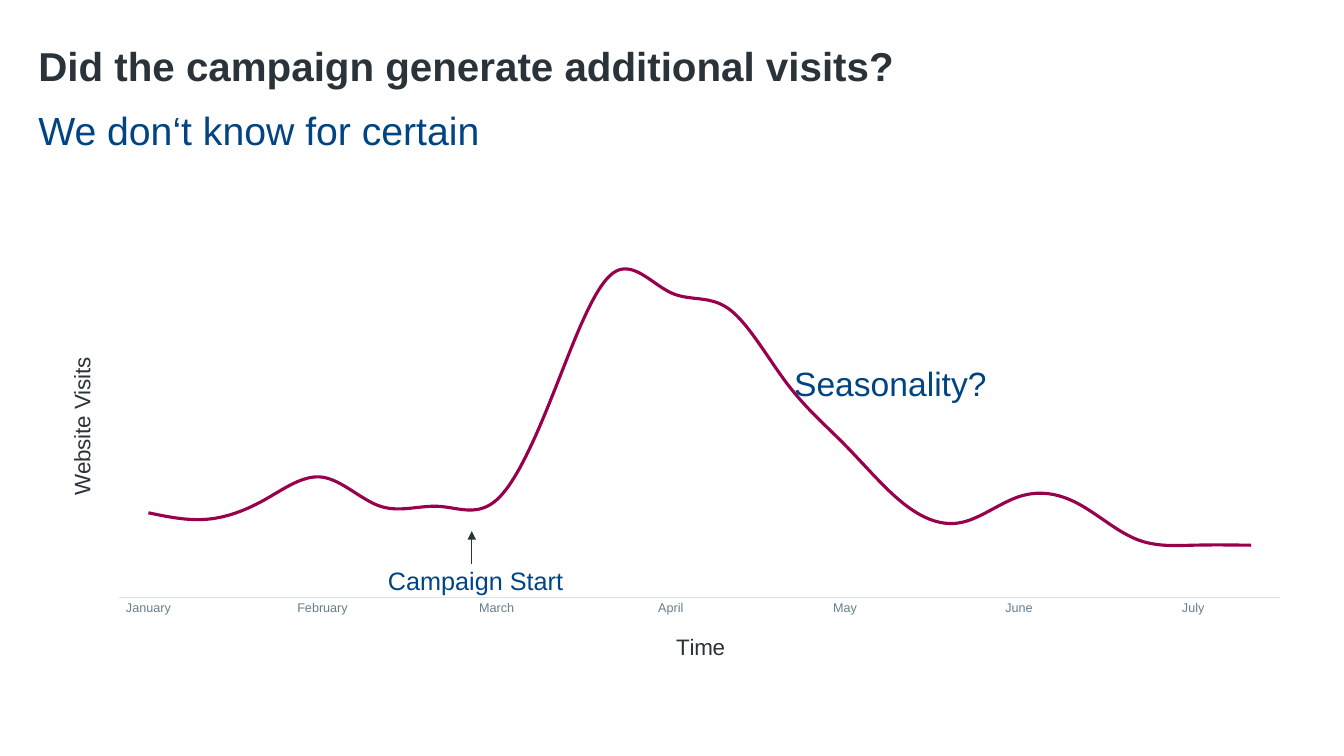
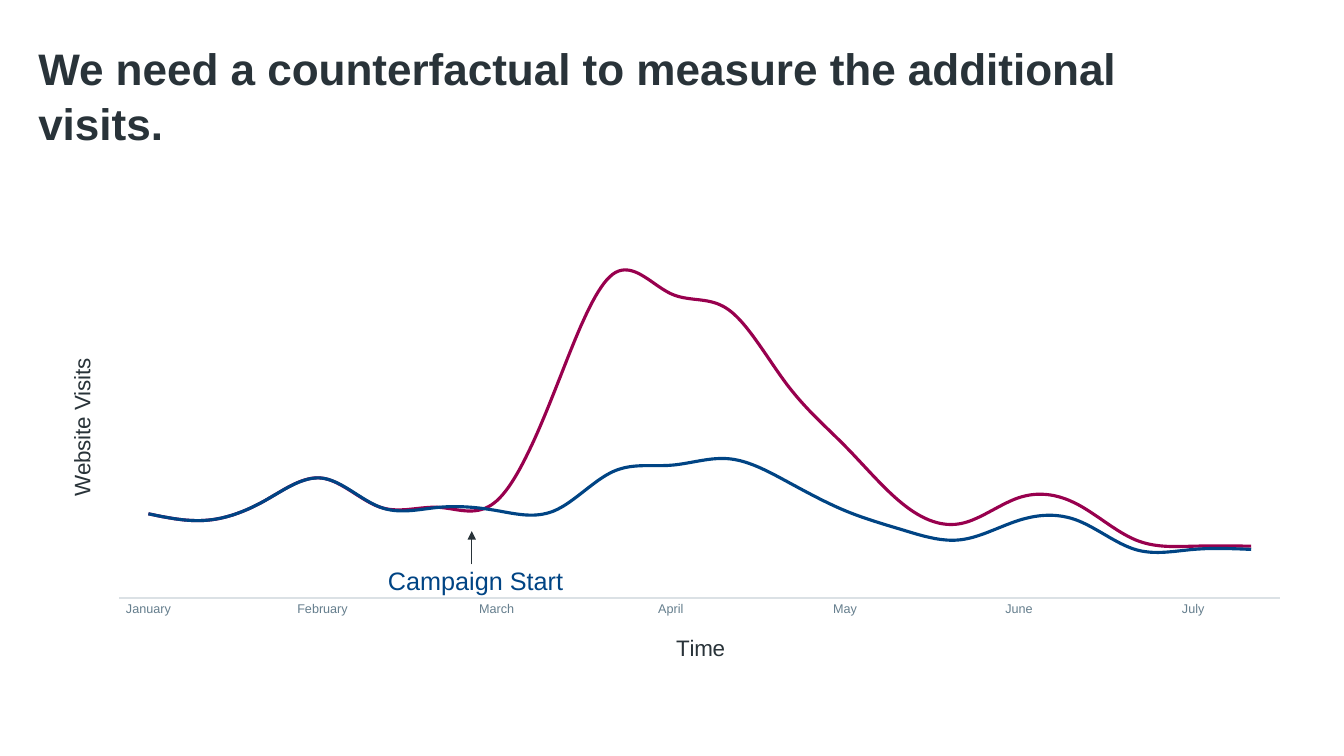
from lxml import etree
from pptx import Presentation
from pptx.chart.data import CategoryChartData
from pptx.dml.color import RGBColor
from pptx.enum.chart import XL_CHART_TYPE, XL_TICK_MARK
from pptx.enum.shapes import MSO_CONNECTOR
from pptx.oxml.ns import qn
from pptx.util import Inches, Pt

LINE_CHART = XL_CHART_TYPE.LINE
NO_TICKS = XL_TICK_MARK.NONE
STRAIGHT = MSO_CONNECTOR.STRAIGHT

WIDTH, HEIGHT = Inches(13.33), Inches(7.5)
FONT = "Arial"
DARK = RGBColor(0x29, 0x33, 0x39)
BLUE = RGBColor(0x00, 0x44, 0x84)
BERRY = RGBColor(0x98, 0x00, 0x4E)
SLATE = RGBColor(0x65, 0x7E, 0x8D)
PALE = RGBColor(0xDB, 0xE1, 0xE5)

MARGIN = 2.85
MONTHS = ["January", "February", "March", "April", "May", "June", "July"]
POINTS_PER_MONTH = 3
VISITS = (26, 24, 30, 37, 28, 28, 30, 64, 100, 94,
          89, 66, 47, 29, 23, 31, 29, 18, 16, 16)
COUNTERFACTUAL = (26, 24, 30, 37, 28, 28, 27, 27, 39, 41,
                  43, 36, 27, 21, 18, 24, 24, 15, 15, 15)


def across(percent):
    return round(WIDTH * percent / 100)


def down(percent):
    return round(HEIGHT * percent / 100)


def area(left, top, width, height):
    return across(left), down(top), across(width), down(height)


def style_font(font, size, color, bold=False):
    font.name = FONT
    font.size = Pt(size)
    font.bold = bold
    font.color.rgb = color


def add_text(slide, text, place, size, color, bold=False, wrap=True):
    frame = slide.shapes.add_textbox(*area(*place)).text_frame
    frame.word_wrap = wrap
    paragraph = frame.paragraphs[0]
    run = paragraph.add_run()
    run.text = text
    style_font(run.font, size, color, bold)
    return frame


def add_heading(slide, text, place, size, color, bold=False, space_before=0):
    frame = add_text(slide, text, place, size, color, bold)
    frame.margin_left = frame.margin_right = 0
    frame.margin_top = frame.margin_bottom = 0
    paragraph = frame.paragraphs[0]
    paragraph.line_spacing = 1.05
    paragraph.space_before = Pt(space_before)


def add_title(slide, text, size):
    add_heading(slide, text, (MARGIN, 5.07, 80.25, 6.8), size, DARK, bold=True)


def set_layout(parent, position, **settings):
    layout = parent.find(qn("c:layout"))
    if layout is None:
        layout = etree.Element(qn("c:layout"))
        parent.insert(position, layout)
    manual = etree.SubElement(layout, qn("c:manualLayout"))
    for name, value in settings.items():
        etree.SubElement(manual, qn(f"c:{name}")).set("val", str(value))


def add_axis_title(axis, text, x, y, rotation=0):
    title = axis.axis_title
    frame = title.text_frame
    run = frame.paragraphs[0].add_run()
    run.text = text
    style_font(run.font, 16, DARK)
    body = title._element.find(".//" + qn("a:bodyPr"))
    body.set("rot", str(rotation * 60000))
    body.set("vert", "horz")
    set_layout(title._element, 1, xMode="edge", yMode="edge", x=x, y=y)


def month_labels():
    labels = [""] * len(VISITS)
    labels[::POINTS_PER_MONTH] = MONTHS
    return labels


def add_visits_chart(slide, top, lines):
    data = CategoryChartData()
    data.categories = month_labels()
    for number, (values, color) in enumerate(lines, 1):
        data.add_series(f"Series {number}", values)
    place = area(MARGIN, top, 94.3, 60.8)
    chart = slide.shapes.add_chart(LINE_CHART, *place, data).chart
    chart.has_title = False
    chart.has_legend = False
    style_font(chart.font, 10, DARK)

    for series, (values, color) in zip(chart.plots[0].series, lines):
        series.smooth = True
        series.format.line.color.rgb = color
        series.format.line.width = Pt(2.25)
    chart.plots[0].vary_by_categories = False

    months = chart.category_axis
    months.major_tick_mark = months.minor_tick_mark = NO_TICKS
    months.has_major_gridlines = False
    months.format.line.color.rgb = PALE
    months.format.line.width = Pt(0.75)
    style_font(months.tick_labels.font, 9, SLATE)
    add_axis_title(months, "Time", x=0.5, y=0.89)

    visits = chart.value_axis
    visits.minimum_scale = 0
    visits.maximum_scale = 110
    visits.has_major_gridlines = False
    visits.visible = False
    add_axis_title(visits, "Website Visits", x=0.02, y=0.29, rotation=-90)

    plot_area = chart._chartSpace.find(".//" + qn("c:plotArea"))
    set_layout(plot_area, 0, layoutTarget="inner", xMode="edge", yMode="edge",
               x=0.064, y=0.046, w=0.916, h=0.775)


def add_arrow(slide, x, start, end):
    arrow = slide.shapes.add_connector(
        STRAIGHT, across(x), down(start), across(x), down(end))
    arrow.line.color.rgb = DARK
    arrow.line.width = Pt(0.5)
    line = arrow.line._get_or_add_ln()
    etree.SubElement(line, qn("a:tailEnd")).set("type", "triangle")
    etree.SubElement(arrow._element.spPr, qn("a:effectLst"))


def add_campaign_marker(slide):
    add_text(slide, "Campaign Start", (28.13, 74.13, 16.95, 5.33), 18, BLUE)
    add_arrow(slide, 35.1, 74.67, 70.27)


def add_question_slide(slide):
    add_title(slide, "Did the campaign generate additional visits?", 28.8)
    add_heading(slide, "We don‘t know for certain",
                (MARGIN, 13.73, 62.1, 8), 28, BLUE, space_before=10)
    add_visits_chart(slide, 29.07, [(VISITS, BERRY)])
    add_text(slide, "Seasonality?", (58.35, 47.33, 16, 6.67), 24, BLUE,
             wrap=False)
    add_campaign_marker(slide)


def add_counterfactual_slide(slide):
    add_title(slide,
              "We need a counterfactual to measure the additional visits.",
              31.5)
    add_visits_chart(slide, 29.2, [(VISITS, BERRY), (COUNTERFACTUAL, BLUE)])
    add_campaign_marker(slide)


def main():
    presentation = Presentation()
    presentation.slide_width = WIDTH
    presentation.slide_height = HEIGHT
    blank = presentation.slide_layouts[6]
    for build in (add_question_slide, add_counterfactual_slide):
        build(presentation.slides.add_slide(blank))
    presentation.save("out.pptx")


if __name__ == "__main__":
    main()
